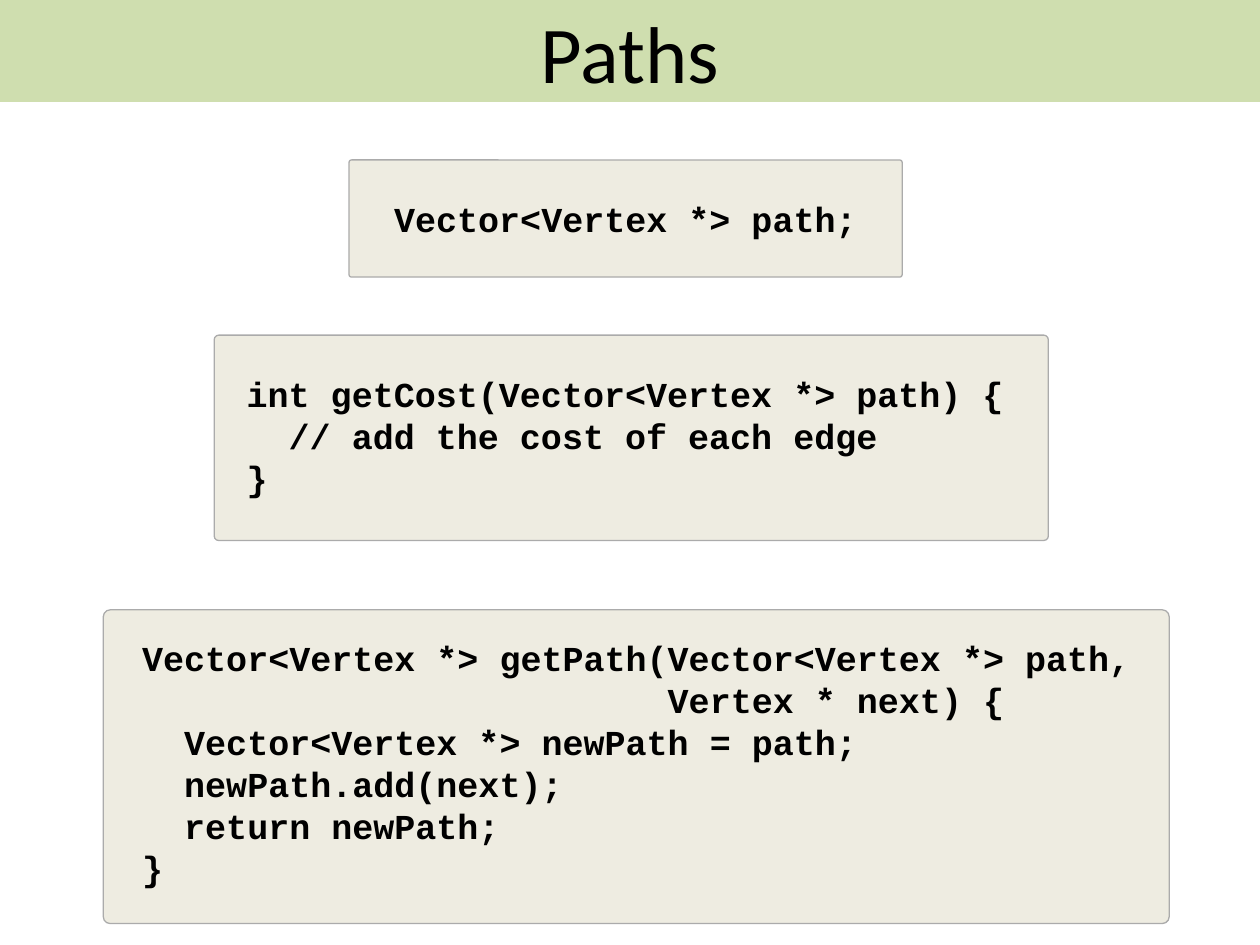
from dataclasses import dataclass

from lxml import etree
from pptx import Presentation, util as u
from pptx.dml.color import RGBColor
from pptx.enum import shapes, text
from pptx.oxml.ns import qn


@dataclass(frozen=True)
class Theme:
    black: RGBColor = RGBColor(0x00, 0x00, 0x00)
    banner: RGBColor = RGBColor(0xC3, 0xD6, 0x9B)
    banner_alpha: int = 80
    panel: RGBColor = RGBColor(0xEE, 0xEC, 0xE1)
    outline: RGBColor = RGBColor(0xAB, 0xAB, 0xAB)
    outline_width: float = 0.75
    corner: float = 0.022
    title_font: str = "Calibri"
    title_size: int = 46
    code_font: str = "Courier New"
    code_size: int = 20


@dataclass(frozen=True)
class Box:
    """Left, top, width and height as percentages of the slide's size."""
    left: float
    top: float
    width: float
    height: float


@dataclass(frozen=True)
class CodePanel:
    frame: Box
    code_area: Box
    code: str


THEME = Theme()
BANNER = Box(0, 0, 100, 10.8)
PANELS = (
    CodePanel(Box(27.7, 16.93, 43.9, 12.4), Box(30.3, 20.27, 41.3, 5.87),
              "Vector<Vertex *> path;"),
    CodePanel(Box(17, 35.47, 66.2, 21.73), Box(18.6, 38.8, 63.3, 14.8),
              """int getCost(Vector<Vertex *> path) {
  // add the cost of each edge
}"""),
    CodePanel(Box(8.2, 64.53, 84.6, 33.2), Box(10.3, 66.67, 80.9, 28.27),
              """Vector<Vertex *> getPath(Vector<Vertex *> path,
                         Vertex * next) {
  Vector<Vertex *> newPath = path;
  newPath.add(next);
  return newPath;
}"""),
)

presentation = Presentation()
presentation.slide_width = u.Inches(10)
presentation.slide_height = u.Inches(7.5)
slide = presentation.slides.add_slide(presentation.slide_layouts[6])


def place(box: Box) -> tuple[int, int, int, int]:
    """Turn a box of percentages into slide lengths."""
    width, height = presentation.slide_width, presentation.slide_height
    return (round(box.left * width / 100), round(box.top * height / 100),
            round(box.width * width / 100), round(box.height * height / 100))


def add_filled_shape(kind: shapes.MSO_SHAPE, box: Box, color: RGBColor):
    shape = slide.shapes.add_shape(kind, *place(box))
    shape.shadow.inherit = False
    shape.fill.solid()
    shape.fill.fore_color.rgb = color
    return shape


def style_paragraph(paragraph, name: str, size: int, bold: bool = False) -> None:
    font = paragraph.font
    font.name, font.size, font.bold = name, u.Pt(size), bold
    font.color.rgb = THEME.black


def add_banner(title: str) -> None:
    shape = add_filled_shape(shapes.MSO_SHAPE.RECTANGLE, BANNER, THEME.banner)
    shape.line.fill.background()
    color = shape.fill._xPr.find(f".//{qn('a:srgbClr')}")
    etree.SubElement(color, qn("a:alpha"), val=str(THEME.banner_alpha * 1000))
    frame = shape.text_frame
    frame.vertical_anchor = text.MSO_ANCHOR.MIDDLE
    frame.text = title
    paragraph = frame.paragraphs[0]
    paragraph.alignment = text.PP_ALIGN.CENTER
    style_paragraph(paragraph, THEME.title_font, THEME.title_size)


def add_code_panel(panel: CodePanel) -> None:
    shape = add_filled_shape(shapes.MSO_SHAPE.ROUNDED_RECTANGLE, panel.frame, THEME.panel)
    shape.adjustments[0] = THEME.corner
    shape.line.color.rgb = THEME.outline
    shape.line.width = u.Pt(THEME.outline_width)

    frame = slide.shapes.add_textbox(*place(panel.code_area)).text_frame
    frame.word_wrap = True
    frame.auto_size = text.MSO_AUTO_SIZE.SHAPE_TO_FIT_TEXT
    frame.text = panel.code
    for paragraph in frame.paragraphs:
        style_paragraph(paragraph, THEME.code_font, THEME.code_size, bold=True)


add_banner("Paths")
for code_panel in PANELS:
    add_code_panel(code_panel)
presentation.save("out.pptx")
